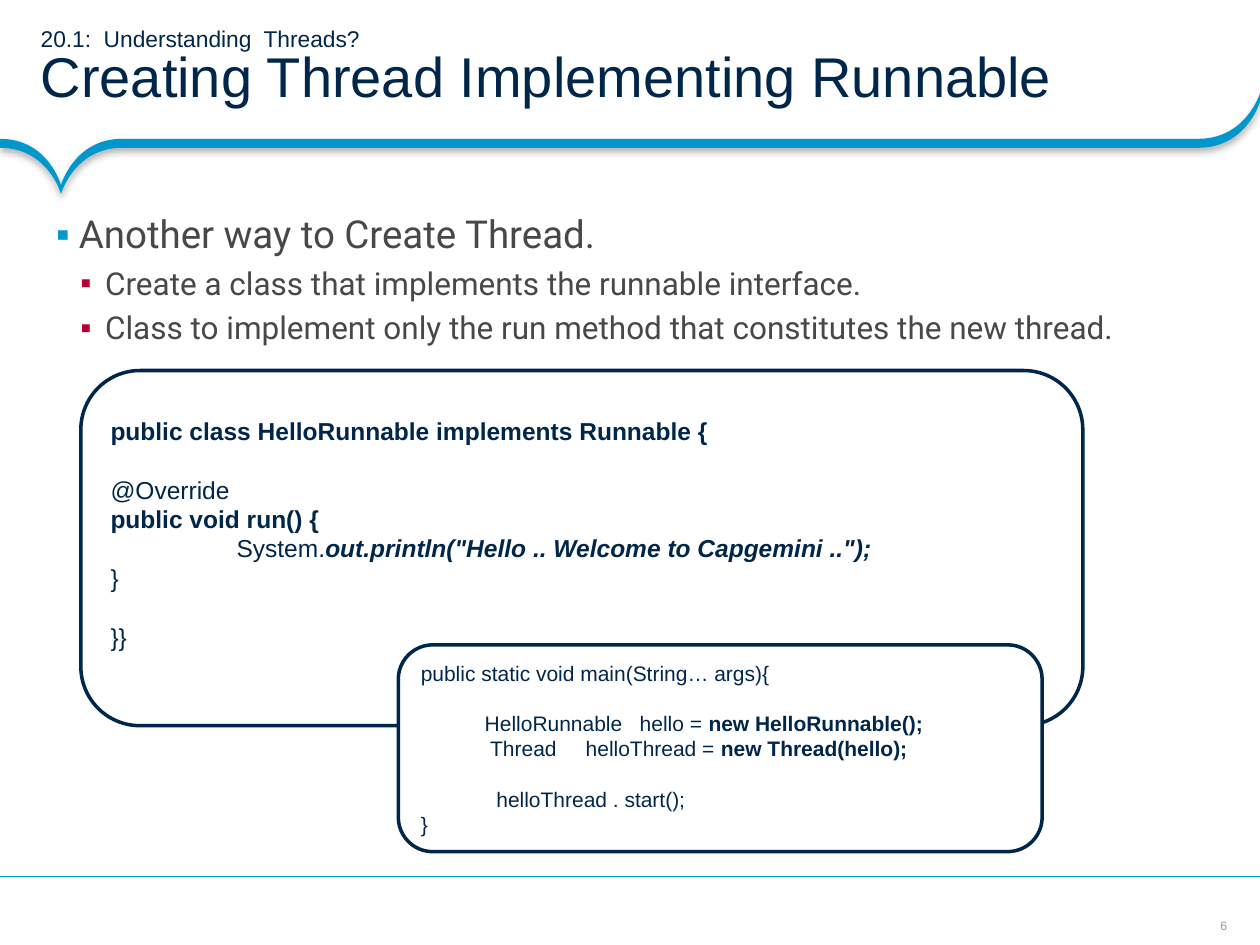
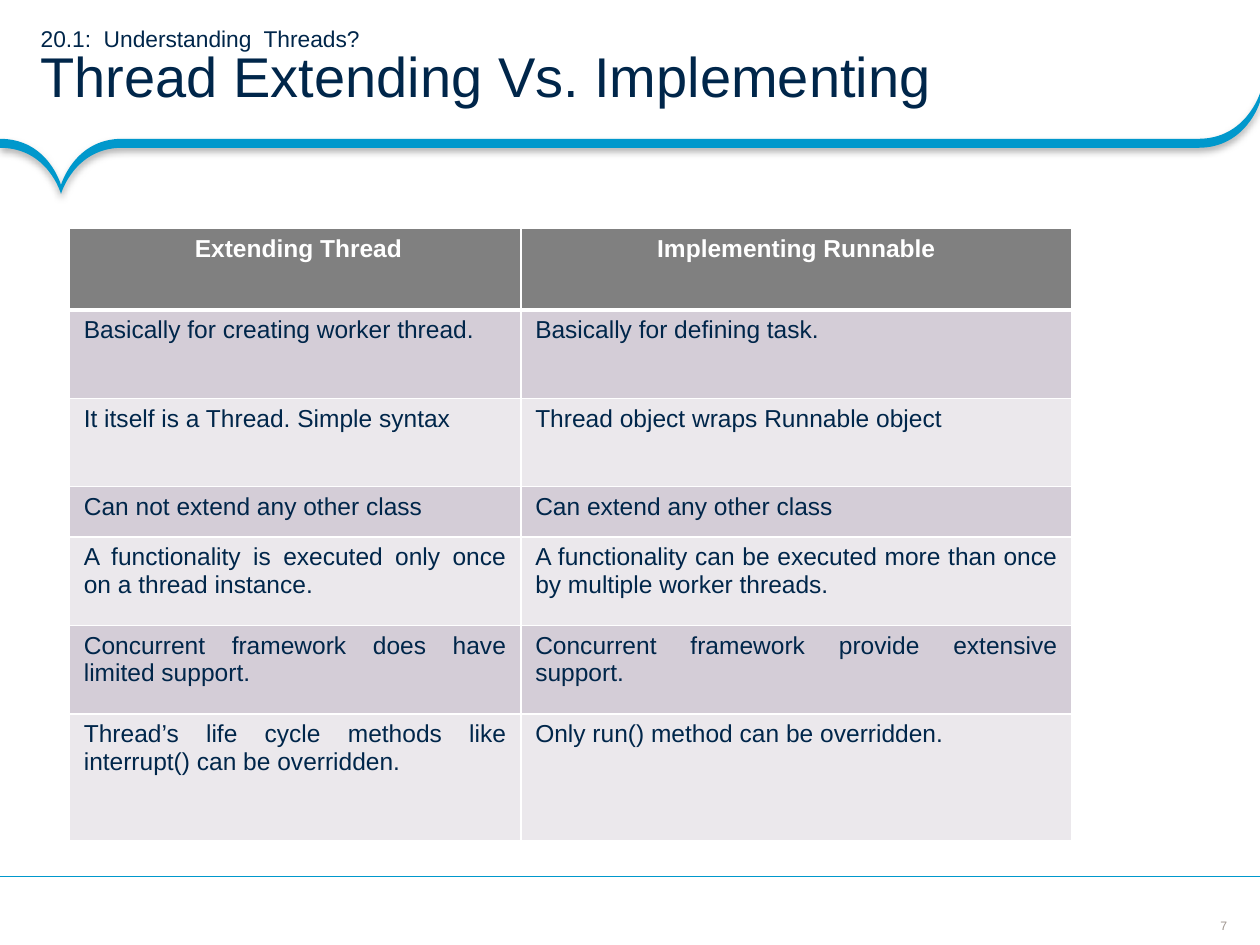
from lxml.etree import SubElement
from pptx import Presentation
from pptx.dml.color import RGBColor
from pptx.enum.shapes import MSO_CONNECTOR as Connector, MSO_SHAPE as Shape
from pptx.enum.text import MSO_ANCHOR as Anchor, PP_ALIGN as Align
from pptx.oxml.ns import qn
from pptx.util import Cm, Pt

# ---- Content ----
SECTION = "20.1:  Understanding  Threads?"
BULLETS = [
    (0, "Another way to Create Thread."),
    (1, "Create a class that implements the runnable interface."),
    (1, "Class to implement only the run method that constitutes the new thread."),
]
# Each code line is a list of (text, style); an empty list is a gap
RUNNABLE_CODE = [
    [("public class HelloRunnable implements Runnable {", "b")],
    [],
    [("@Override", "")],
    [("public void run() {", "b")],
    [("  \tSystem.", ""), ('out.println("Hello .. Welcome to Capgemini ..");', "bi")],
    [("}", "")],
    [],
    [("}}", "")],
]
MAIN_CODE = [
    [("public static void main(String… args){", "")],
    [],
    [("           HelloRunnable   hello = ", ""), ("new HelloRunnable();", "b")],
    [("            Thread     helloThread = ", ""), ("new Thread(hello);", "b")],
    [],
    [("             helloThread . start();", "")],
    [("}", "")],
]
COMPARISON = [
    (" Extending Thread", "Implementing Runnable"),
    ("Basically for creating worker thread.", "Basically for defining task."),
    ("It itself is a Thread. Simple syntax", "Thread object wraps Runnable object"),
    ("Can not extend any other class", "Can extend any other class"),
    ("A functionality is executed only once on a thread instance.",
     "A functionality can be executed more than once by multiple worker threads."),
    ("Concurrent framework does have limited support.",
     "Concurrent framework provide extensive support."),
    ("Thread’s life cycle methods like interrupt() can be overridden.",
     "Only run() method can be overridden."),
]

# ---- Shared look ----
NAVY, BLUE, RED, GREY, WHITE = "00264A", "0098CC", "B70132", "484848", "FFFFFF"
PAGE_GREY, HEADER_GREY, BANDS = "9F958F", "808080", ("EBE8EC", "D4CDD7")
WIDTH, HEIGHT = 25.4, 19.05
BAND_Y, BAND_THICKNESS = 2.8, 0.18
NOTCH, CORNER = (1.23, 3.73), (WIDTH, 1.88)
# Upper edge of the band: a start, then two controls and an end per curve
BAND_EDGE = [
    (0, BAND_Y),
    (0.97, BAND_Y), NOTCH, NOTCH,
    NOTCH, (1.5, BAND_Y), (2.46, BAND_Y),
    (2.46, BAND_Y), (24.16, BAND_Y), (24.16, BAND_Y),
    (25.12, BAND_Y), CORNER, CORNER,
]
# (size, colour, bullet colour, left margin, hanging indent) per level
LEVELS = [(22, GREY, BLUE, 0.46, 0.46), (18, GREY, RED, 0.99, 0.5)]
COLUMN_WIDTHS = (9.1, 11.11)
ROW_HEIGHTS = (1.64, 1.78, 1.78, 1.02, 1.78, 1.78, 2.56)


def rgb(colour):
    return RGBColor.from_string(colour)


def add_run(paragraph, text, size, colour, style="", face="Arial"):
    run = paragraph.add_run()
    run.text = text
    font = run.font
    font.name, font.size, font.color.rgb = face, Pt(size), rgb(colour)
    font.bold, font.italic = "b" in style, "i" in style


def set_margins(frame, left, top, right, bottom):
    frame.margin_left, frame.margin_top = Cm(left), Cm(top)
    frame.margin_right, frame.margin_bottom = Cm(right), Cm(bottom)


def add_paragraph(frame, index):
    return frame.add_paragraph() if index else frame.paragraphs[0]


def add_band(slide):
    lower = [(x, y + BAND_THICKNESS) for x, y in reversed(BAND_EDGE)]
    corners = [(Cm(x), Cm(y)) for x, y in BAND_EDGE[::3] + lower[::3]]
    builder = slide.shapes.build_freeform(*corners[0])
    builder.add_line_segments(corners[1:], close=True)
    band = builder.convert_to_shape()

    # Bend the straight sides; the one joining both edges stays straight
    controls = [edge[i:i + 2] for edge in (BAND_EDGE, lower) for i in range(1, len(edge), 3)]
    sides = list(band._element.iter(qn("a:lnTo")))
    join = len(BAND_EDGE) // 3
    curved = sides[:join] + sides[join + 1:]
    for side, pair in zip(curved, controls):
        end = side[0]
        side.tag = qn("a:cubicBezTo")
        for x, y in pair:
            SubElement(side, qn("a:pt"), x=str(Cm(x) - band.left), y=str(Cm(y) - band.top))
        side.append(end)

    band.fill.solid()
    band.fill.fore_color.rgb = rgb(BLUE)
    band.line.fill.background()
    # Soft shadow below the band
    band.shadow.inherit = False
    effects = band._element.spPr.find(qn("a:effectLst"))
    shadow = SubElement(effects, qn("a:outerShdw"), blurRad=str(Pt(4)),
                        dist=str(Pt(2)), dir="5400000", rotWithShape="0")
    black = SubElement(shadow, qn("a:srgbClr"), val="000000")
    SubElement(black, qn("a:alpha"), val="31000")


def add_page(prs, heading, number):
    slide = prs.slides.add_slide(prs.slide_layouts[5])
    add_band(slide)

    # Footer rule and page number
    rule = slide.shapes.add_connector(Connector.STRAIGHT, Cm(WIDTH), Cm(17.67), 0, Cm(17.67))
    rule.line.color.rgb, rule.line.width = rgb(BLUE), Pt(0.75)
    SubElement(rule._element.spPr, qn("a:effectLst"))
    page = slide.shapes.add_textbox(Cm(24.52), Cm(18.51), Cm(0.3), Cm(0.3)).text_frame
    set_margins(page, 0, 0, 0, 0)
    page.vertical_anchor, page.word_wrap = Anchor.MIDDLE, False
    page.paragraphs[0].alignment = Align.CENTER
    add_run(page.paragraphs[0], str(number), 7, PAGE_GREY)

    # Title with the section above it
    title = slide.shapes.title
    title.left, title.top, title.width, title.height = 0, 0, Cm(WIDTH), Cm(2.79)
    frame = title.text_frame
    set_margins(frame, 0.82, 0.1, 0.46, 0.1)
    frame.vertical_anchor, frame.word_wrap = Anchor.MIDDLE, True
    line = frame.paragraphs[0]
    line.alignment, line.line_spacing = Align.LEFT, 0.85
    add_run(line, SECTION, 13, NAVY)
    line.add_line_break()
    add_run(line, heading, 32, NAVY)
    return slide


def add_bullets(slide):
    frame = slide.shapes.add_textbox(Cm(0.83), Cm(4.15), Cm(24.57), Cm(12.9)).text_frame
    frame.word_wrap = True
    set_margins(frame, 0.3, 0.2, 0.2, 0.2)
    for index, (level, text) in enumerate(BULLETS):
        size, colour, mark, margin, hang = LEVELS[level]
        point = add_paragraph(frame, index)
        props = point._p.get_or_add_pPr()
        props.set("marL", str(Cm(margin)))
        props.set("indent", str(-Cm(hang)))
        SubElement(SubElement(props, qn("a:buClr")), qn("a:srgbClr"), val=mark)
        SubElement(props, qn("a:buFont"), typeface="Arial")
        SubElement(props, qn("a:buChar"), char="▪")
        point.level, point.line_spacing, point.space_after = level, 0.9, Pt(6)
        add_run(point, text, size, colour, face="Roboto")


def add_code(slide, code, size, place, bottom=0.13):
    panel = slide.shapes.add_shape(Shape.ROUNDED_RECTANGLE, *(Cm(v) for v in place))
    panel.shadow.inherit = False
    panel.fill.solid()
    panel.fill.fore_color.rgb = rgb(WHITE)
    panel.line.color.rgb, panel.line.width = rgb(NAVY), Pt(2)
    frame = panel.text_frame
    frame.word_wrap, frame.vertical_anchor = True, Anchor.MIDDLE
    set_margins(frame, 0.25, 0.13, 0.25, bottom)
    leading = Pt(1.2 * size)
    gap, filled = False, 0
    for runs in code:
        if not runs:
            gap = True
            continue
        line = add_paragraph(frame, filled)
        tabs = SubElement(line._p.get_or_add_pPr(), qn("a:tabLst"))
        SubElement(tabs, qn("a:tab"), pos=str(Cm(2.54)), algn="l")
        line.alignment, line.line_spacing = Align.LEFT, leading
        if gap:
            line.space_before = leading
        for text, style in runs:
            add_run(line, text, size, NAVY, style)
        gap, filled = False, filled + 1


def set_borders(cell, row):
    thick = {"lnT": row == 1, "lnB": row == 0}
    for side in ("lnL", "lnR", "lnT", "lnB"):
        border = SubElement(cell._tc.get_or_add_tcPr(), qn("a:" + side),
                            w=str(Pt(3 if thick.get(side) else 1)))
        SubElement(SubElement(border, qn("a:solidFill")), qn("a:srgbClr"), val=WHITE)


def add_comparison(slide):
    table = slide.shapes.add_table(len(COMPARISON), 2, Cm(1.4), Cm(4.61),
                                   Cm(sum(COLUMN_WIDTHS)), Cm(sum(ROW_HEIGHTS))).table
    for column, width in zip(table.columns, COLUMN_WIDTHS):
        column.width = Cm(width)
    for row, (texts, height) in enumerate(zip(COMPARISON, ROW_HEIGHTS)):
        table.rows[row].height = Cm(height)
        header = row == 0
        for column, text in enumerate(texts):
            cell = table.cell(row, column)
            set_margins(cell, 0.29, 0.13, 0.29, 0.13)
            set_borders(cell, row)
            cell.fill.solid()
            cell.fill.fore_color.rgb = rgb(HEADER_GREY if header else BANDS[row % 2])
            line = cell.text_frame.paragraphs[0]
            line.alignment = Align.CENTER if header else Align.JUSTIFY
            add_run(line, text, 14, WHITE if header else NAVY, "b" if header else "")


def main():
    prs = Presentation()
    prs.slide_width, prs.slide_height = Cm(WIDTH), Cm(HEIGHT)

    # Runnable slide
    runnable = add_page(prs, "Creating Thread Implementing Runnable", 6)
    add_bullets(runnable)
    add_code(runnable, RUNNABLE_CODE, 14, (1.63, 7.47, 20.2, 7.16), bottom=0.72)
    add_code(runnable, MAIN_CODE, 12, (8.03, 13, 12.98, 4.17))

    # Comparison slide
    add_comparison(add_page(prs, "Thread Extending Vs. Implementing", 7))

    prs.save("out.pptx")


if __name__ == "__main__":
    main()
